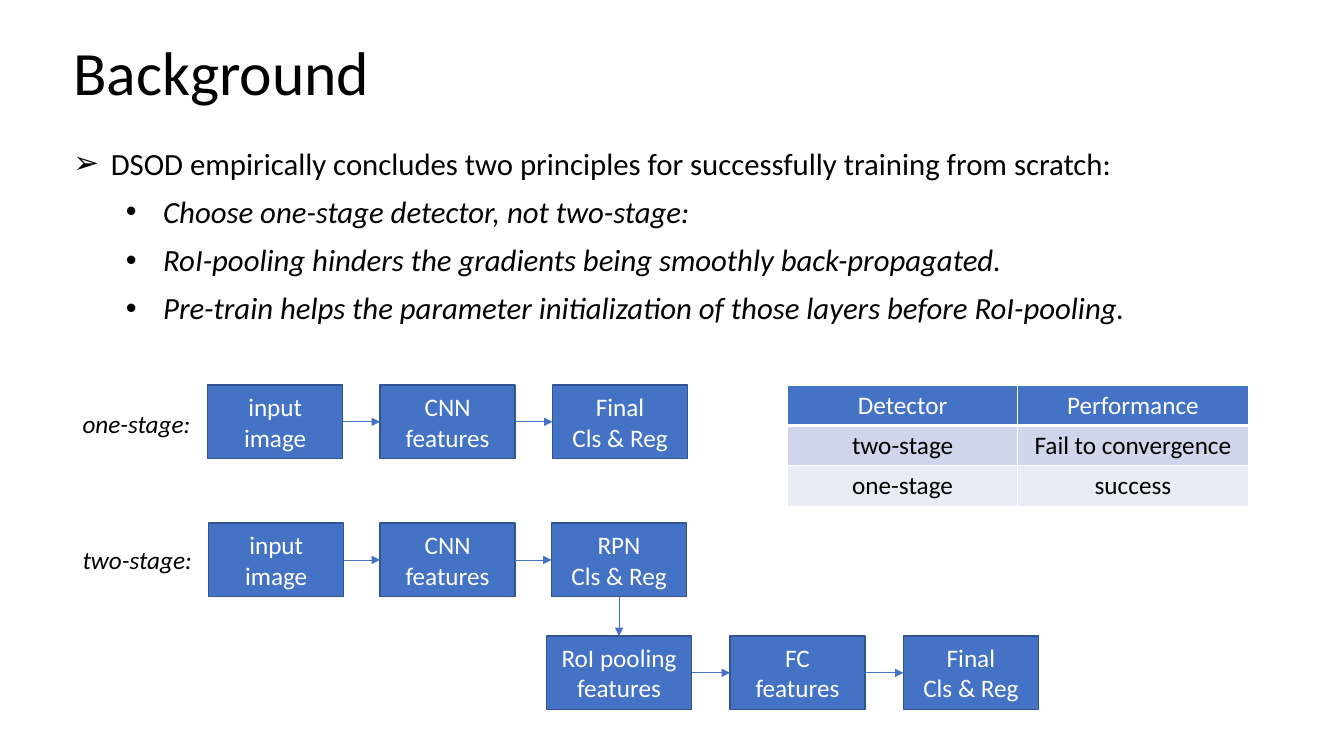
import pptx
import pptx.dml.color
import pptx.enum.shapes
import pptx.enum.text
import pptx.oxml
import pptx.oxml.ns
import pptx.util

PX = 9144  # EMU per px, 100 px to the inch
BLUE, DARK_BLUE, BLACK, WHITE = "4472C4", "325491", "000000", "FFFFFF"
NS = pptx.oxml.ns.nsdecls("a")
CENTER = pptx.enum.text.PP_ALIGN.CENTER
RIGHT, LEFT, BOTTOM, TOP = 3, 1, 2, 0  # connection sites of a rectangle


def px(*lengths):
    return [pptx.util.Emu(n * PX) for n in lengths]


def rgb(value):
    return pptx.dml.color.RGBColor.from_string(value)


def add_xml(parent, xml):
    parent.append(pptx.oxml.parse_xml(xml))


def style(p, size, color, italic=False, align=None):
    p.alignment = align
    p.font.name = "Calibri"
    p.font.size = pptx.util.Pt(size)
    p.font.bold = False
    p.font.italic = italic
    p.font.color.rgb = rgb(color)


def add_text(slide, box, text, size, italic=False):
    tf = slide.shapes.add_textbox(*px(*box)).text_frame
    tf.word_wrap = True
    tf.text = text
    style(tf.paragraphs[0], size, BLACK, italic)


# Bulleted text: one heading, then italic points
def add_bullets(slide, box, heading, points):
    tf = slide.shapes.add_textbox(*px(*box)).text_frame
    tf.word_wrap = True
    tf.text = "\n".join([heading, *points])
    for i, p in enumerate(tf.paragraphs):
        is_point = i > 0
        p.level = int(is_point)
        p.line_spacing = 0.9 if is_point else pptx.util.Pt(29.5)
        p.space_after = pptx.util.Pt(10.8)
        pPr = p._p.get_or_add_pPr()
        margin, hanging = px(89 if is_point else 37, -37)
        pPr.set("marL", str(margin))
        pPr.set("indent", str(hanging))
        add_xml(pPr, f'<a:buFont {NS} typeface="Arial"/>')
        add_xml(pPr, f'<a:buChar {NS} char="{"•" if is_point else "➢"}"/>')
        style(p, 22, BLACK, is_point)


def add_step(slide, box, text):
    sp = slide.shapes.add_shape(pptx.enum.shapes.MSO_SHAPE.RECTANGLE, *px(*box))
    sp.shadow.inherit = False
    sp.fill.solid()
    sp.fill.fore_color.rgb = rgb(BLUE)
    sp.line.color.rgb = rgb(DARK_BLUE)
    sp.line.width = pptx.util.Pt(1)
    tf = sp.text_frame
    tf.word_wrap = True
    tf.vertical_anchor = pptx.enum.text.MSO_ANCHOR.MIDDLE
    tf.text = text
    for p in tf.paragraphs:
        style(p, 18, WHITE, align=CENTER)
    return sp


def add_arrow(slide, start, end, start_site=RIGHT, end_site=LEFT):
    line = slide.shapes.add_connector(
        pptx.enum.shapes.MSO_CONNECTOR.STRAIGHT, 0, 0, 0, 0)
    line.begin_connect(start, start_site)
    line.end_connect(end, end_site)
    line.line.color.rgb = rgb(BLUE)
    line.line.width = pptx.util.Pt(0.5)
    add_xml(line.line._get_or_add_ln(), f'<a:tailEnd {NS} type="triangle"/>')
    add_xml(line._element.spPr, f"<a:effectLst {NS}/>")


# Row of steps joined by arrows
def add_flow(slide, left, top, gap, steps):
    shapes = []
    for text, width in steps:
        shapes.append(add_step(slide, (left, top, width, 73), text))
        left += width + gap
    for start, end in zip(shapes, shapes[1:]):
        add_arrow(slide, start, end)
    return shapes


def add_borders(cell, widths):
    tcPr = cell._tc.get_or_add_tcPr()
    for side, width in zip("LRTB", widths):
        add_xml(tcPr, f'<a:ln{side} {NS} w="{pptx.util.Pt(width)}"><a:solidFill>'
                      f'<a:srgbClr val="{WHITE}"/></a:solidFill></a:ln{side}>')


# Results table: header row, then body rows
def add_results(slide, box, rows):
    frame = slide.shapes.add_table(len(rows), len(rows[0]), *px(*box))
    fills = [BLUE, "CFD5EA", "E9EBF5"]
    for r, row in enumerate(rows):
        for c, text in enumerate(row):
            cell = frame.table.cell(r, c)
            cell.text = text
            style(cell.text_frame.paragraphs[0], 18,
                  BLACK if r else WHITE, align=CENTER)
            add_borders(cell, (1, 1, 3 if r == 1 else 1, 1 if r else 3))
            cell.fill.solid()
            cell.fill.fore_color.rgb = rgb(fills[r])


# Diagram of both detector pipelines
def add_pipelines(slide, left, top):
    image, cnn = ("input\nimage", 134), ("CNN\nfeatures", 134)
    final = ("Final\nCls & Reg", 134)
    add_flow(slide, left + 134, top, 37, [image, cnn, final])
    two_stage = add_flow(slide, left + 135, top + 137, 36,
                         [image, cnn, ("RPN\nCls & Reg", 134)])
    second = add_flow(slide, left + 470, top + 249, 38,
                      [("RoI pooling\nfeatures", 144), ("FC\nfeatures", 134), final])
    add_arrow(slide, two_stage[-1], second[0], BOTTOM, TOP)
    for text, offset in (("one-stage:", 18), ("two-stage:", 153)):
        add_text(slide, (left, top + offset, 169, 40), text, 18, italic=True)


def build_background(slide):
    add_text(slide, (63, 29, 1217, 84), "Background", 44)
    add_bullets(
        slide, (63, 134, 1255, 495),
        "DSOD empirically concludes two principles for successfully training from scratch:",
        ["Choose one-stage detector, not two-stage:",
         "RoI-pooling hinders the gradients being smoothly back-propagated.",
         "Pre-train helps the parameter initialization of those layers before RoI-pooling."])
    add_pipelines(slide, 72, 382)
    add_results(slide, (781, 382, 457, 120),
                [("Detector", "Performance"),
                 ("two-stage", "Fail to convergence"),
                 ("one-stage", "success")])


def main():
    prs = pptx.Presentation()
    prs.slide_width, prs.slide_height = px(1333, 750)
    build_background(prs.slides.add_slide(prs.slide_layouts[6]))
    prs.save("out.pptx")


if __name__ == "__main__":
    main()
